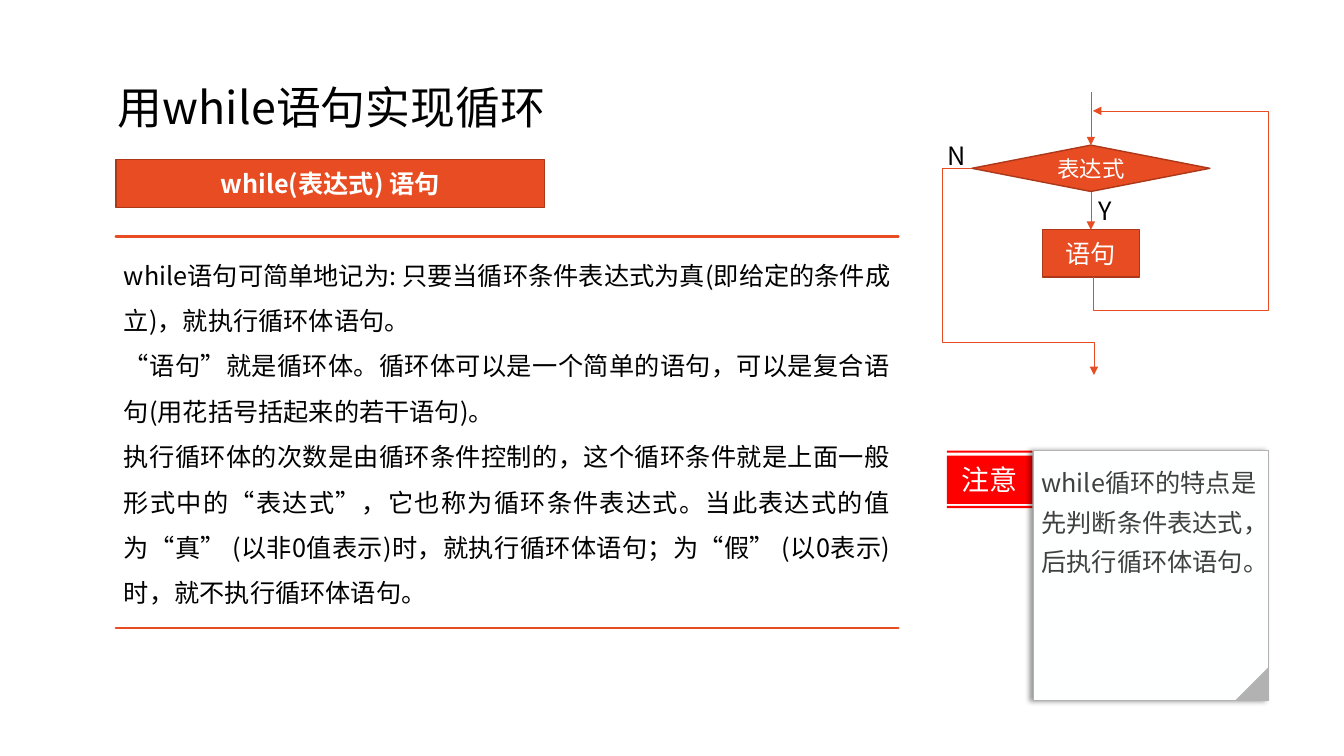
from lxml.etree import SubElement
from pptx import Presentation
from pptx.dml.color import RGBColor
from pptx.enum.shapes import MSO_CONNECTOR, MSO_SHAPE
from pptx.enum.text import MSO_ANCHOR, PP_ALIGN
from pptx.oxml.ns import qn
from pptx.util import Pt

PX = 9144
FONT = "Noto Sans CJK SC"
ORANGE = RGBColor(0xE8, 0x4C, 0x22)
RUST = RGBColor(0xAC, 0x38, 0x19)
RED = RGBColor(0xFF, 0x00, 0x00)
PAPER = RGBColor(0xFE, 0xFF, 0xFF)
SILVER = RGBColor(0xB2, 0xB2, 0xB2)
GRAY = RGBColor(0x40, 0x40, 0x40)
WHITE = RGBColor(0xFF, 0xFF, 0xFF)
BLACK = RGBColor(0x00, 0x00, 0x00)

RULES = [
    "while语句可简单地记为: 只要当循环条件表达式为真(即给定的条件成立)，就执行循环体语句。",
    "“语句”就是循环体。循环体可以是一个简单的语句，可以是复合语句(用花括号括起来的若干语句)。",
    "执行循环体的次数是由循环条件控制的，这个循环条件就是上面一般形式中的“表达式”，"
    "它也称为循环条件表达式。当此表达式的值为“真” (以非0值表示)时，就执行循环体语句；"
    "为“假” (以0表示)时，就不执行循环体语句。",
]


def px(*lengths):
    return [length * PX for length in lengths]


def write(shape, *texts, size=18, color=BLACK, bold=False, align=PP_ALIGN.LEFT,
          anchor=MSO_ANCHOR.TOP, spacing=None, inset=None):
    frame = shape.text_frame
    frame.word_wrap = True
    frame.vertical_anchor = anchor
    if inset is not None:
        frame.margin_left = frame.margin_right = inset * PX
        frame.margin_top = frame.margin_bottom = inset * PX
    for index, text in enumerate(texts):
        para = frame.add_paragraph() if index else frame.paragraphs[0]
        para.alignment = align
        para.line_spacing = spacing
        span = para.add_run()
        span.text = text
        span.font.size = Pt(size)
        span.font.bold = bold
        span.font.name = FONT
        span.font.color.rgb = color
        SubElement(span.font._element, qn("a:ea"), typeface=FONT)


def paint(shape, fill=None, line=None, width=1):
    shape.shadow.inherit = False
    if fill is None:
        shape.fill.background()
    else:
        shape.fill.solid()
        shape.fill.fore_color.rgb = fill
    if line is None:
        shape.line.fill.background()
    else:
        shape.line.color.rgb = line
        shape.line.width = Pt(width)


def add_preset(page, kind, box, **style):
    shape = page.shapes.add_shape(kind, *px(*box))
    paint(shape, **style)
    return shape


def add_outline(page, contours, close, **style):
    builder = None
    for start, *rest in contours:
        if builder is None:
            builder = page.shapes.build_freeform(*start, scale=PX)
        else:
            builder.move_to(*start)
        builder.add_line_segments(rest, close=close)
    shape = builder.convert_to_shape()
    paint(shape, **style)
    return shape


def add_arrowhead(line):
    SubElement(line.line._get_or_add_ln(), qn("a:tailEnd"), type="triangle")


def add_arrow(page, start, end, source=None, target=None):
    arrow = page.shapes.add_connector(MSO_CONNECTOR.STRAIGHT, *px(*start, *end))
    if source is not None:
        arrow.begin_connect(source, 2)
    if target is not None:
        arrow.end_connect(target, 0)
    arrow.line.color.rgb = ORANGE
    arrow.line.width = Pt(0.5)
    add_arrowhead(arrow)
    SubElement(arrow._element.spPr, qn("a:effectLst"))


def add_route(page, points):
    route = add_outline(page, [points], False, line=ORANGE, width=0.5)
    add_arrowhead(route)


def add_centered(page, kind, box, text, **style):
    shape = add_preset(page, kind, box, fill=ORANGE, line=RUST)
    write(shape, text, color=WHITE, align=PP_ALIGN.CENTER,
          anchor=MSO_ANCHOR.MIDDLE, **style)
    return shape


def place_title(page, box):
    title = page.shapes.title
    title.left, title.top, title.width, title.height = px(*box)
    write(title, "用while语句实现循环", size=32, spacing=0.9, anchor=MSO_ANCHOR.MIDDLE)


def place_syntax(page, box):
    add_centered(page, MSO_SHAPE.RECTANGLE, box, "while(表达式) 语句", bold=True)


def place_rules(page, box):
    left, top, width, height = box
    edges = [[(left, y), (left + width, y), (left, y)] for y in (top + height, top)]
    panel = add_outline(page, edges, True, line=ORANGE, width=2)
    write(panel, *RULES, align=PP_ALIGN.JUSTIFY, spacing=1.5, inset=8)


def place_note(page, box):
    left, top, width, height = box
    label_width, fold = 85, 33
    right = left + label_width
    bars = [[(left, top + a), (right, top + a), (right, top + b), (left, top + b)]
            for a, b in ((55, 57), (5, 53), (0, 2))]
    label = add_outline(page, bars, True, fill=RED)
    write(label, "注意", size=20, color=PAPER, align=PP_ALIGN.CENTER,
          anchor=MSO_ANCHOR.MIDDLE)

    sheet_left = right + 1
    sheet = add_preset(page, MSO_SHAPE.RECTANGLE,
                       (sheet_left, top, left + width - sheet_left, height),
                       fill=PAPER, line=SILVER, width=0.75)
    effects = sheet._element.spPr.find(qn("a:effectLst"))
    shadow = SubElement(effects, qn("a:outerShdw"), blurRad=str(Pt(4)),
                        dist=str(Pt(3)), dir="10800000", algn="r", rotWithShape="0")
    tint = SubElement(shadow, qn("a:srgbClr"), val="000000")
    SubElement(tint, qn("a:alpha"), val="40000")
    write(sheet, "while循环的特点是先判断条件表达式，后执行循环体语句。",
          color=GRAY, spacing=1.3, inset=8)

    corner = add_preset(page, MSO_SHAPE.RIGHT_TRIANGLE,
                        (left + width - fold, top + height - fold, fold, fold),
                        fill=SILVER)
    corner.rotation = 270


def place_flowchart(page, box):
    left, top, width, height = box
    right, bottom = left + width, top + height
    axis = left + 147
    test_top, step_top = top + 53, top + 137
    test_width, test_height, step_width, step_height = 236, 46, 96, 47
    test_left, test_middle = axis - test_width // 2, test_top + test_height // 2
    step_bottom = step_top + step_height

    test = add_centered(page, MSO_SHAPE.FLOWCHART_DECISION,
                        (test_left, test_top, test_width, test_height),
                        "表达式", size=16)
    step = add_centered(page, MSO_SHAPE.RECTANGLE,
                        (axis - step_width // 2, step_top, step_width, step_height),
                        "语句")
    add_arrow(page, (axis, top), (axis, test_top), target=test)
    add_arrow(page, (axis, test_top + test_height), (axis, step_top), test, step)

    back_x, back_top, back_bottom = axis + 2, top + 19, top + 217
    add_route(page, [(back_x, step_bottom), (back_x, back_bottom),
                     (right, back_bottom), (right, back_top), (back_x, back_top)])
    exit_x, exit_y = axis + 3, bottom - 32
    add_route(page, [(test_left, test_middle), (left, test_middle),
                     (left, exit_y), (exit_x, exit_y), (exit_x, bottom)])

    for text, x, y in (("Y", axis - 2, top + 98), ("N", left - 5, top + 43)):
        write(page.shapes.add_textbox(*px(x, y, 50, 40)), text)


def main():
    deck = Presentation()
    deck.slide_width, deck.slide_height = px(1333, 750)
    page = deck.slides.add_slide(deck.slide_layouts[5])
    place_title(page, (107, 37, 648, 145))
    place_syntax(page, (115, 158, 425, 48))
    place_rules(page, (115, 235, 776, 388))
    place_note(page, (939, 447, 319, 248))
    place_flowchart(page, (935, 91, 323, 281))
    deck.save("out.pptx")


if __name__ == "__main__":
    main()
